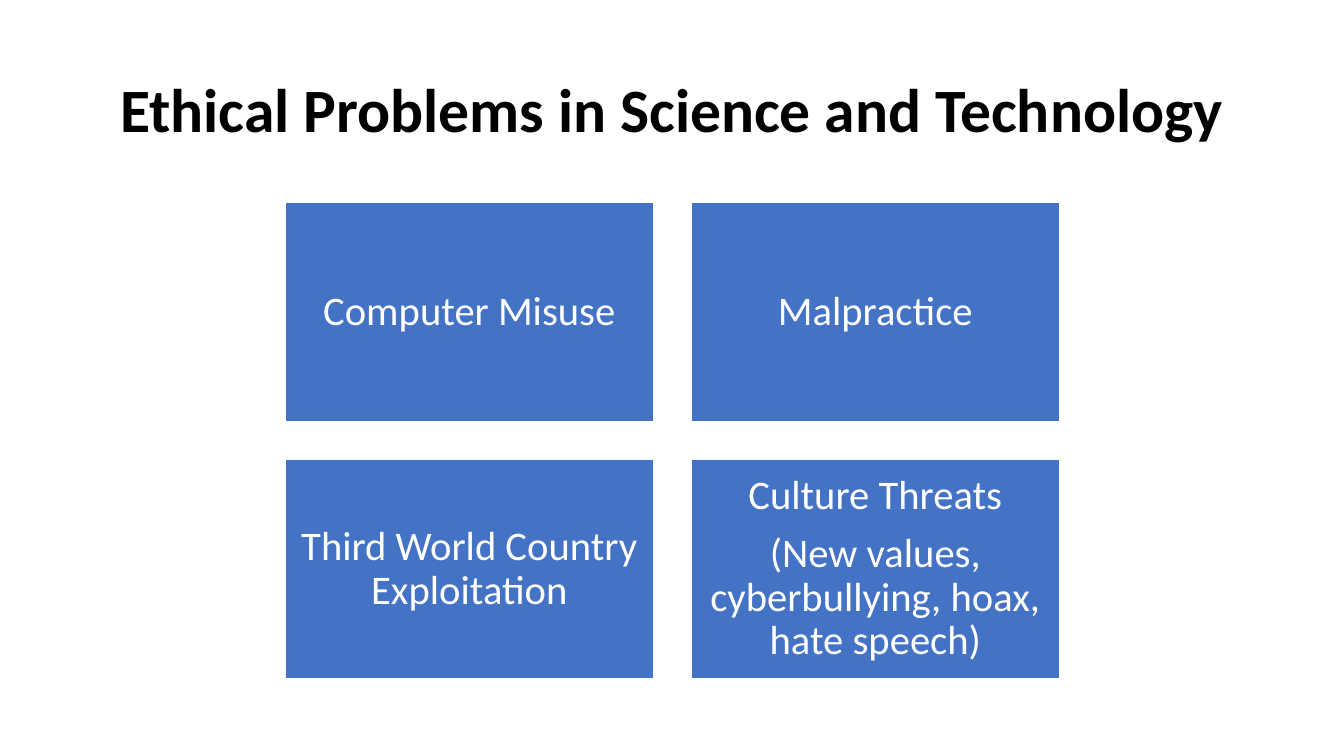
from dataclasses import dataclass

from pptx import Presentation
from pptx import util as u
from pptx.dml.color import RGBColor
from pptx.enum import shapes, text

SCALE = u.Inches(1) / 100.8


@dataclass(frozen=True)
class Theme:
    font: str = "Calibri"
    ink: str = "000000"
    light: str = "FFFFFF"
    fill: str = "4472C4"
    head: int = 44
    body: int = 29
    gap: int = 10


THEME = Theme()
TITLE = "Ethical Problems in Science and Technology"
ISSUES = [
    ["Computer Misuse"],
    ["Malpractice"],
    ["Third World Country Exploitation"],
    ["Culture Threats", "(New values, cyberbullying, hoax, hate speech)"],
]
COLS = 2
LEFT, TOP = 285, 202
WIDTH, HEIGHT = 369, 220
SPACE = 37
INSET = 12


def px(size):
    return u.Emu(round(size * SCALE))


def rgb(code):
    return RGBColor.from_string(code)


def style(para, size, color, bold=False):
    para.alignment = text.PP_ALIGN.CENTER
    para.line_spacing = 0.9
    para.font.name = THEME.font
    para.font.size = u.Pt(size)
    para.font.bold = bold
    para.font.color.rgb = rgb(color)


def add_title(slide, words):
    title = slide.shapes.title
    title.left, title.top = px(93), px(40)
    title.width, title.height = px(1159), px(146)
    frame = title.text_frame
    frame.text = words
    frame.word_wrap = True
    frame.auto_size = text.MSO_AUTO_SIZE.NONE
    frame.vertical_anchor = text.MSO_ANCHOR.MIDDLE
    style(frame.paragraphs[0], THEME.head, THEME.ink, bold=True)


def add_card(slide, left, top, lines):
    card = slide.shapes.add_shape(
        shapes.MSO_SHAPE.RECTANGLE, px(left), px(top), px(WIDTH), px(HEIGHT))
    card.shadow.inherit = False
    card.fill.solid()
    card.fill.fore_color.rgb = rgb(THEME.fill)
    card.line.color.rgb = rgb(THEME.light)
    card.line.width = u.Pt(1)
    frame = card.text_frame
    frame.text = "\n".join(lines)
    frame.word_wrap = True
    frame.vertical_anchor = text.MSO_ANCHOR.MIDDLE
    frame.margin_left = frame.margin_right = px(INSET)
    frame.margin_top = frame.margin_bottom = px(INSET)
    for para in frame.paragraphs:
        style(para, THEME.body, THEME.light)
        para.space_after = u.Pt(THEME.gap)


def add_grid(slide, issues):
    for index, lines in enumerate(issues):
        row, col = divmod(index, COLS)
        left = LEFT + col * (WIDTH + SPACE)
        top = TOP + row * (HEIGHT + SPACE)
        add_card(slide, left, top, lines)


def main():
    deck = Presentation()
    deck.slide_width, deck.slide_height = px(1344), px(756)
    slide = deck.slides.add_slide(deck.slide_layouts.get_by_name("Title Only"))
    add_title(slide, TITLE)
    add_grid(slide, ISSUES)
    deck.save("out.pptx")


main()
